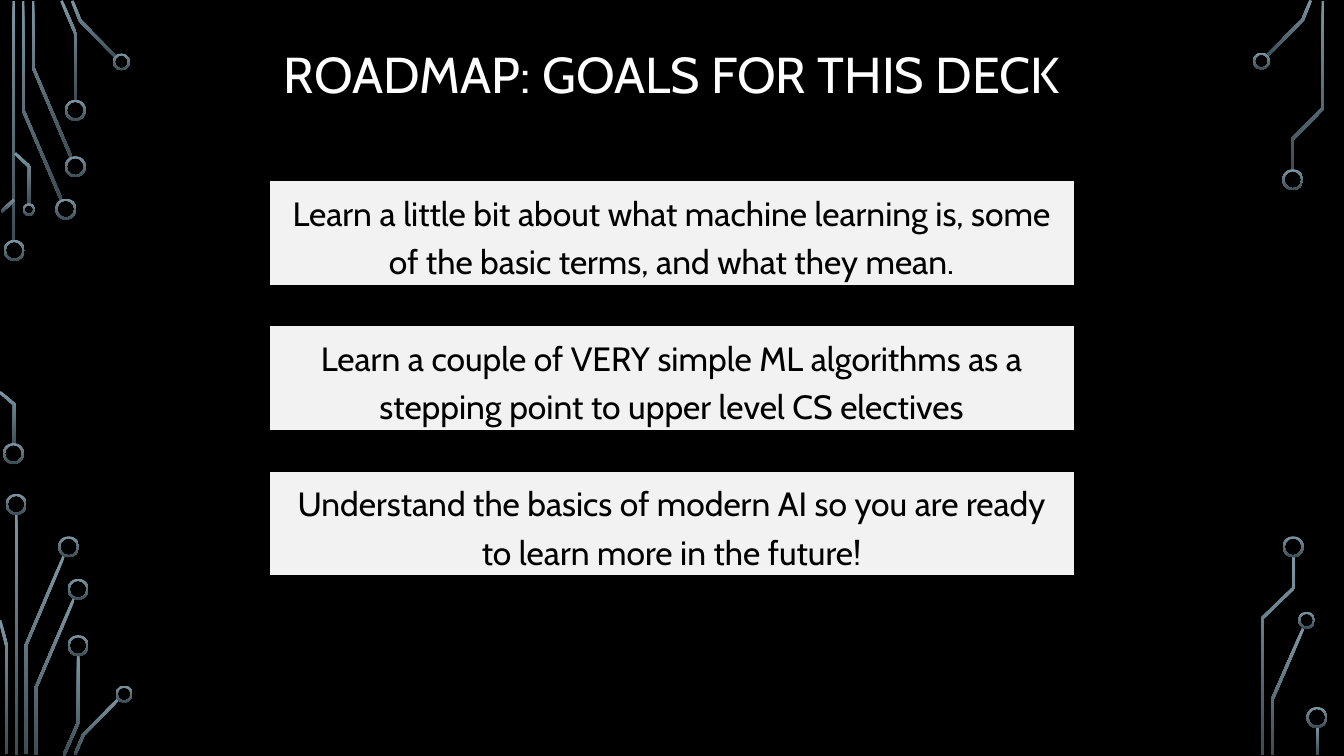
from dataclasses import dataclass
from pptx import Presentation
from pptx.dml.color import RGBColor as Rgb
from pptx.enum.shapes import MSO_SHAPE as Kind
from pptx.enum.text import MSO_ANCHOR as Anchor, PP_ALIGN as Align
from pptx.util import Cm, Pt


@dataclass(frozen=True)
class Theme:
    back: Rgb = Rgb(0, 0, 0)
    light: Rgb = Rgb(0xFF, 0xFF, 0xFF)
    dark: Rgb = Rgb(0, 0, 0)
    panel: Rgb = Rgb(0xF2, 0xF2, 0xF2)
    metal: tuple = (Rgb(0x7C, 0x96, 0xA3), Rgb(0x3B, 0x4C, 0x54))
    font: str = "Cabin"
    head: int = 36
    body: int = 24
    edge: float = 0.75


THEME = Theme()
WIDE, HIGH = 33.87, 19.05
TRACE = 0.07
BIG, MID, TINY = 0.53, 0.43, 0.32

TOP_LEFT = (
    [
        [(0.35, 0.02), (0.35, 6.1)],
        [(0.58, 0.02), (0.58, 2.77), (1.55, 5.04)],
        [(0.83, 0.02), (0.83, 1.69), (1.8, 3.98)],
        [(1.55, 0.02), (1.9, 0.84), (1.9, 2.54)],
        [(1.82, 0.02), (2.02, 0.52), (2.93, 1.45)],
        [(0.36, 5.03), (0.04, 5.33)],
        [(0, 9.88), (0.36, 10.19), (0.36, 11.2)],
        [(0.38, 3.86), (0.74, 4.2), (0.74, 5.16)],
    ],
    [(0.36, 6.31, BIG), (0.34, 11.43, BIG), (1.66, 5.27, BIG), (1.9, 4.2, BIG),
     (1.9, 2.78, BIG), (3.06, 1.56, MID), (0.73, 5.28, TINY)],
)
LOW_LEFT = (
    [
        [(0.41, 0.75), (0.41, 6.82)],
        [(0.65, 6.8), (0.65, 4.07), (1.61, 1.81)],
        [(0, 3.43), (0.17, 4.08), (0.17, 6.8)],
        [(0.9, 6.82), (0.9, 5.14), (1.87, 2.87)],
        [(1.61, 6.83), (1.97, 6.01), (1.97, 4.31)],
        [(1.89, 6.81), (2.1, 6.32), (3, 5.4)],
    ],
    [(0.41, 0.51, BIG), (1.73, 1.58, BIG), (1.97, 2.65, BIG), (1.97, 4.07, BIG),
     (3.13, 5.29, MID)],
)
TOP_RIGHT = (
    [
        [(0.53, 1.41), (1.43, 0.5), (1.63, 0.01)],
        [(1.16, 4.29), (1.16, 3.52), (1.94, 2.73), (1.94, 0.03)],
    ],
    [(0.39, 1.54, MID), (1.18, 4.53, BIG)],
)
LOW_RIGHT = (
    [
        [(0.67, 6.82), (0.67, 5.41), (1.44, 3.64)],
        [(0.41, 6.82), (0.41, 3.38), (1.2, 2.62), (1.2, 1.82)],
        [(1.81, 6.11), (1.81, 6.82)],
    ],
    [(1.53, 3.43, MID), (1.19, 1.58, BIG), (1.79, 5.88, BIG)],
)
CORNERS = [((0, 0), TOP_LEFT), ((0, 12.2), LOW_LEFT),
           ((31.4, 0), TOP_RIGHT), ((31.4, 12.2), LOW_RIGHT)]

GOALS = [
    "Learn a little bit about what machine learning is, some of the basic terms, and what they mean.",
    "Learn a couple of VERY simple ML algorithms as a stepping point to upper level CS electives",
    "Understand the basics of modern AI so you are ready to learn more in the future!",
]


def outline(points):
    dots = [complex(*point) for point in points]
    norms = [(b - a) / abs(b - a) * 1j for a, b in zip(dots, dots[1:])]
    shifts = []
    for one, two in zip(norms[:1] + norms, norms + norms[-1:]):
        dot = (one * two.conjugate()).real
        shifts.append((one + two) / (1 + dot) * TRACE / 2)
    near = [dot + shift for dot, shift in zip(dots, shifts)]
    far = [dot - shift for dot, shift in zip(dots, shifts)]
    return near + far[::-1]


def shade(shape):
    shape.shadow.inherit = False
    shape.line.fill.background()
    shape.fill.gradient()
    shape.fill.gradient_angle = 270
    for stop, tone in zip(shape.fill.gradient_stops, THEME.metal):
        stop.color.rgb = tone


def add_corner(slide, box, traces, rings):
    left, top = box
    for trace in traces:
        spots = [(Cm(left + dot.real), Cm(top + dot.imag)) for dot in outline(trace)]
        form = slide.shapes.build_freeform(*spots[0])
        form.add_line_segments(spots[1:], close=True)
        shade(form.convert_to_shape())
    for x, y, size in rings:
        ring = slide.shapes.add_shape(
            Kind.DONUT, Cm(left + x - size / 2), Cm(top + y - size / 2), Cm(size), Cm(size))
        ring.adjustments[0] = 0.05 / size
        shade(ring)


def set_text(shape, words, size, tone, space):
    frame = shape.text_frame
    frame.text = words
    frame.word_wrap = True
    frame.vertical_anchor = Anchor.MIDDLE
    para = frame.paragraphs[0]
    para.alignment = Align.CENTER
    para.line_spacing = space
    font = para.runs[0].font
    font.name = THEME.font
    font.size = Pt(size)
    font.color.rgb = tone


def add_title(slide, box, words):
    title = slide.shapes.add_textbox(*map(Cm, box))
    set_text(title, words, THEME.head, THEME.light, 0.9)


def add_goals(slide, box, goals):
    left, top, width, height = box
    gap = 1.02
    tall = (height - gap * (len(goals) - 1)) / len(goals)
    for row, goal in enumerate(goals):
        panel = slide.shapes.add_shape(
            Kind.RECTANGLE, Cm(left), Cm(top + row * (tall + gap)), Cm(width), Cm(tall))
        panel.shadow.inherit = False
        panel.fill.solid()
        panel.fill.fore_color.rgb = THEME.panel
        panel.line.color.rgb = THEME.dark
        panel.line.width = Pt(THEME.edge)
        set_text(panel, goal, THEME.body, THEME.dark, 1.2)
        panel.text_frame.margin_left = panel.text_frame.margin_right = Cm(0.4)


def main():
    deck = Presentation()
    deck.slide_width, deck.slide_height = Cm(WIDE), Cm(HIGH)
    slide = deck.slides.add_slide(deck.slide_layouts[6])
    slide.background.fill.solid()
    slide.background.fill.fore_color.rgb = THEME.back
    for box, (traces, rings) in CORNERS:
        add_corner(slide, box, traces, rings)
    add_title(slide, (3.18, 0.91, 27.51, 2.06), "ROADMAP: GOALS FOR THIS DECK")
    add_goals(slide, (6.78, 4.55, 20.29, 9.96), GOALS)
    deck.save("out.pptx")


if __name__ == "__main__":
    main()
